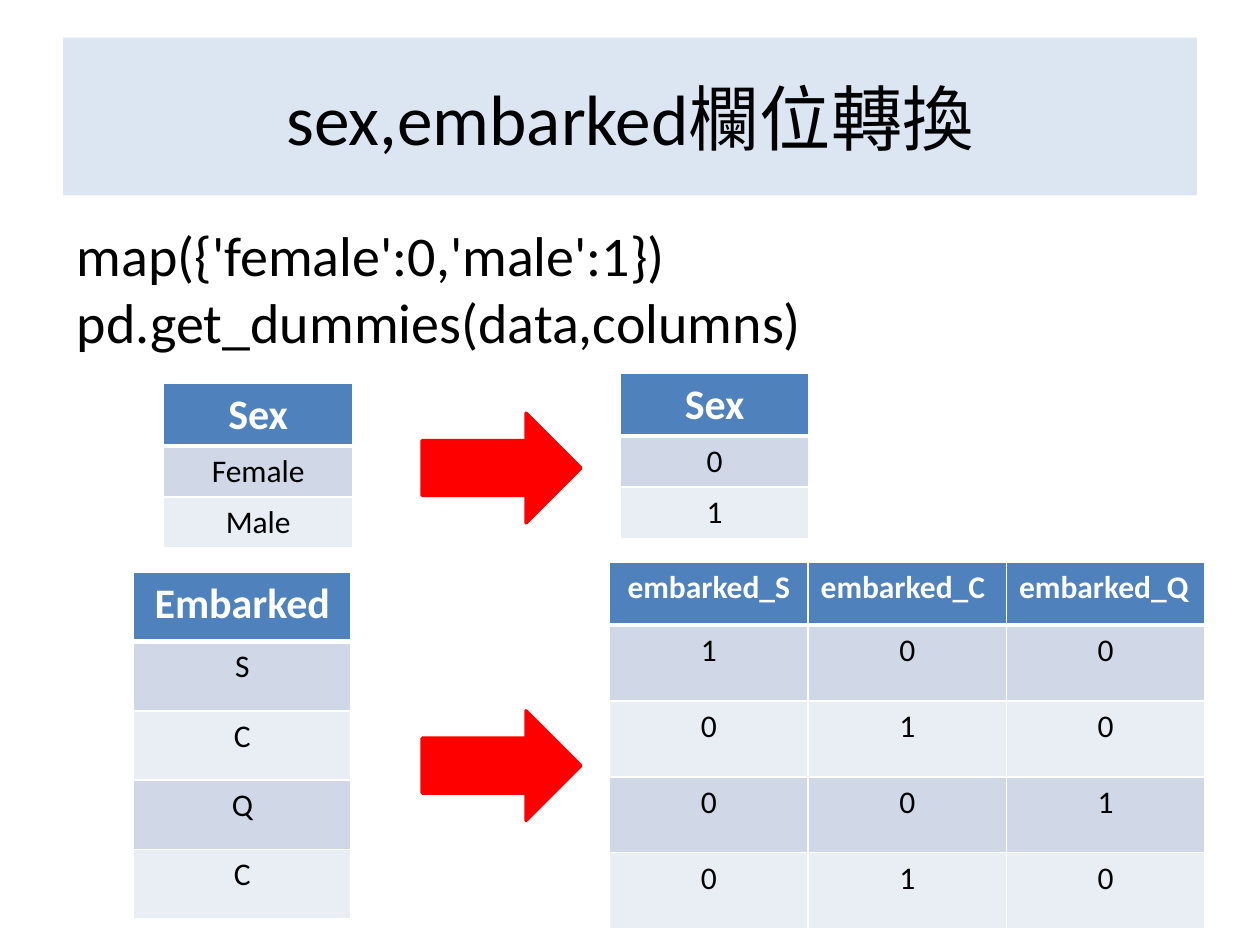
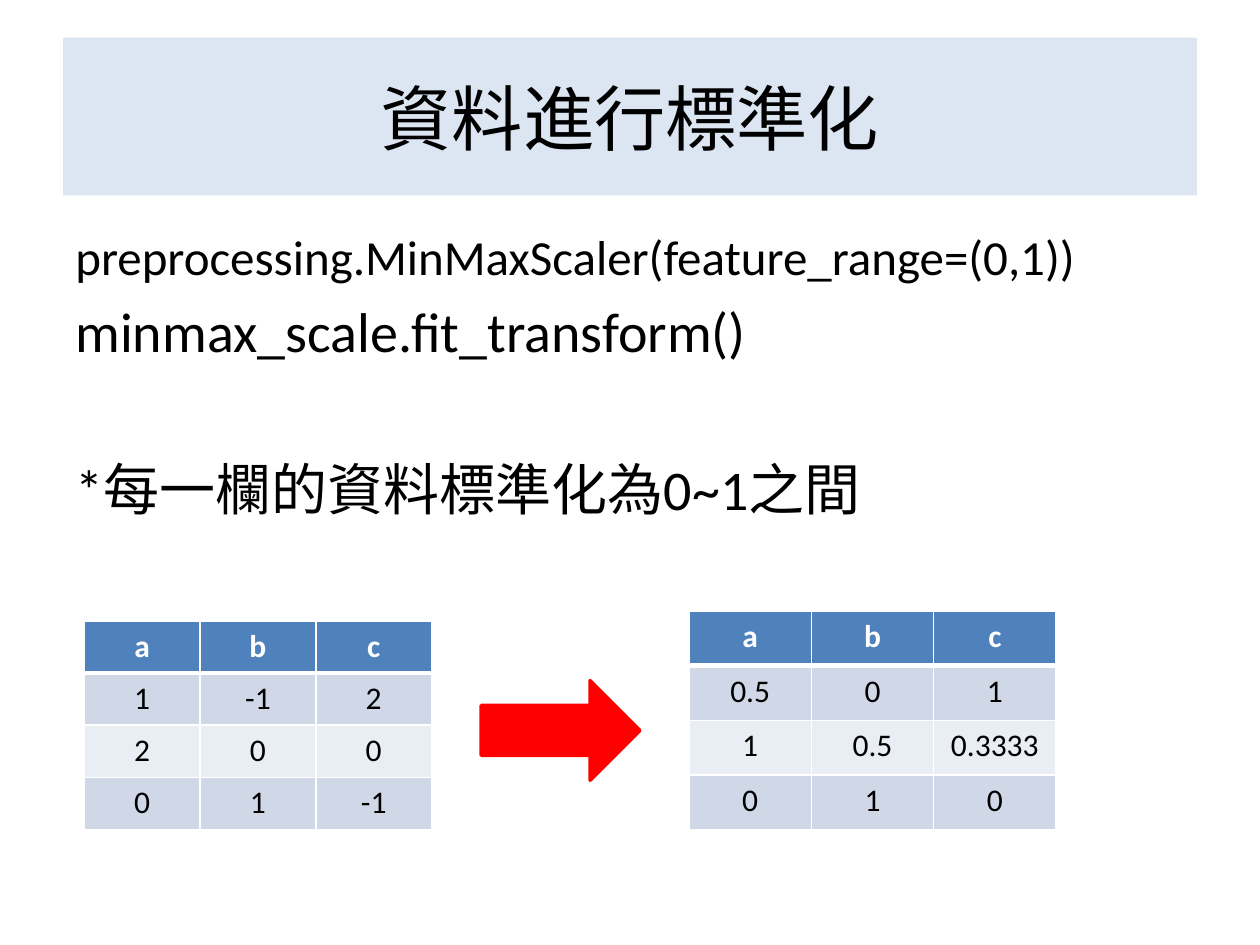
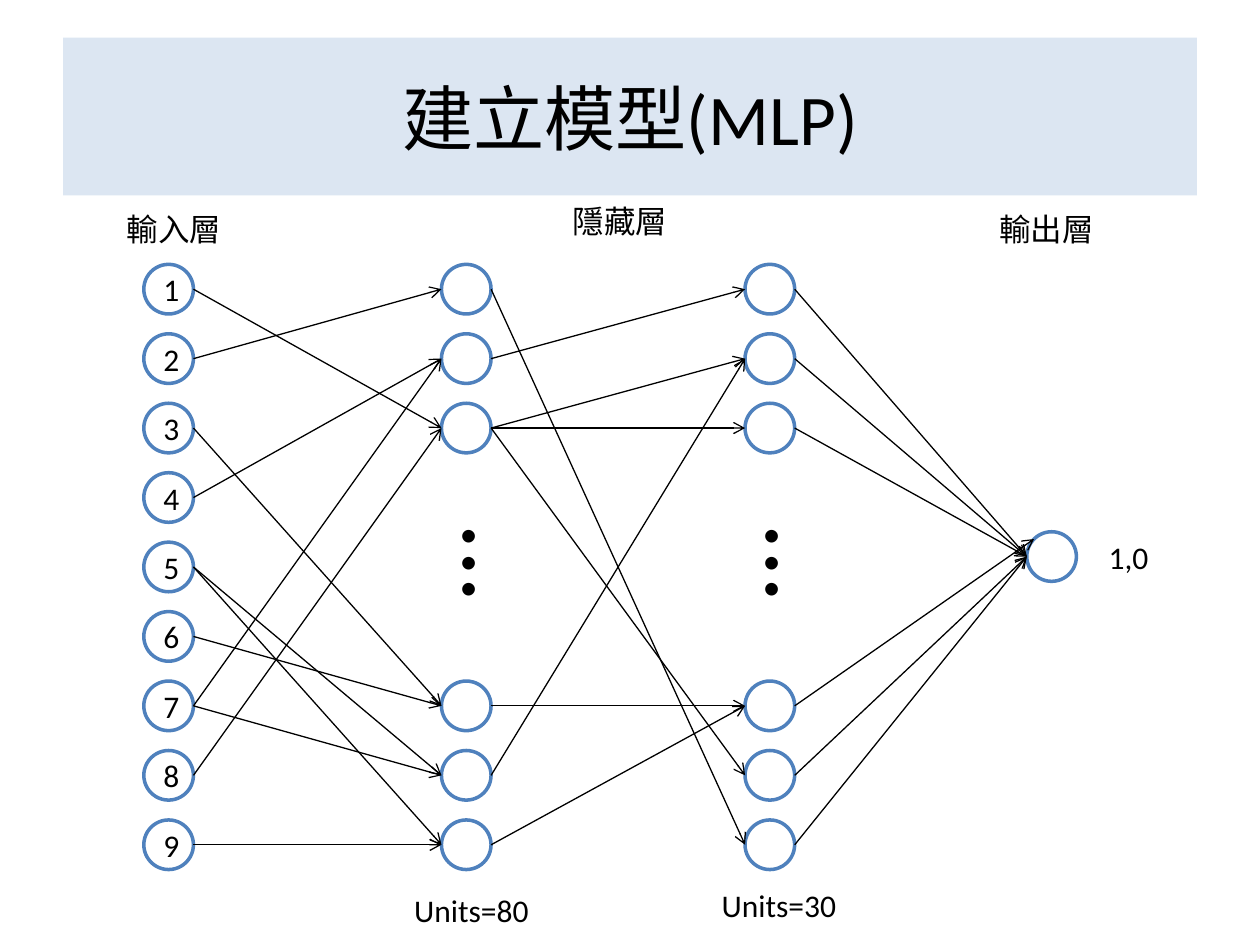
from dataclasses import dataclass
from math import sqrt

from lxml import etree
from pptx import Presentation
from pptx import util as u
from pptx.dml import color
from pptx.enum import shapes, text
from pptx.oxml import ns

CENTER = text.PP_ALIGN.CENTER
LEFT = text.PP_ALIGN.LEFT


@dataclass(frozen=True)
class Theme:
    font: str = "Calibri"
    ink: str = "000000"
    paper: str = "FFFFFF"
    band: str = "DCE6F2"
    accent: str = "4F81BD"
    stripes: tuple = ("D0D8E8", "E9EDF4")
    signal: str = "FF0000"
    title: float = 40.7
    code: int = 32
    long_code: int = 28
    heading: int = 24
    label: int = 18
    dots: int = 60
    outline: int = 2
    link: float = 0.75
    grid: int = 1
    header_rule: int = 3


def rgb(value):
    return color.RGBColor.from_string(value)


def box(*lengths):
    return [u.Cm(length) for length in lengths]


class Deck:
    def __init__(self, theme):
        self.theme = theme
        self.show = Presentation()
        self.show.slide_width, self.show.slide_height = box(25.4, 19.05)
        self.slide = None

    def add_words(self, paragraph, words, size, ink=None, bold=False, align=None):
        paragraph.alignment = align
        run = paragraph.add_run()
        run.text = words
        run.font.name = self.theme.font
        run.font.size = u.Pt(size)
        run.font.bold = bold
        run.font.color.rgb = rgb(ink or self.theme.ink)

    def titled(self, heading):
        self.slide = self.show.slides.add_slide(self.show.slide_layouts[5])
        band = self.slide.shapes.title
        band.left, band.top, band.width, band.height = box(1.27, 0.76, 22.86, 3.18)
        band.fill.solid()
        band.fill.fore_color.rgb = rgb(self.theme.band)
        frame = band.text_frame
        frame.auto_size = text.MSO_AUTO_SIZE.NONE
        frame.vertical_anchor = text.MSO_ANCHOR.MIDDLE
        self.add_words(frame.paragraphs[0], heading, self.theme.title, align=CENTER)

    def lines(self, place, entries):
        holder = self.slide.shapes.add_textbox(*box(*place))
        frame = holder.text_frame
        frame.word_wrap = True
        frame.auto_size = text.MSO_AUTO_SIZE.SHAPE_TO_FIT_TEXT
        for index, (words, size, gap) in enumerate(entries):
            paragraph = frame.add_paragraph() if index else frame.paragraphs[0]
            paragraph.space_before = u.Pt(gap)
            self.add_words(paragraph, words, size)
        return holder

    def label(self, place, words):
        self.lines(place, [(words, self.theme.label, 0)])

    def dots(self, left, top):
        holder = self.lines((left, top, 3.07, 1.88), [("...", self.theme.dots, 0)])
        holder.text_frame.word_wrap = False
        holder.element.txBody.find(ns.qn("a:bodyPr")).set("vert", "eaVert")

    def preset(self, kind, place, fill, outline):
        figure = self.slide.shapes.add_shape(kind, *box(*place))
        figure.shadow.inherit = False
        figure.fill.solid()
        figure.fill.fore_color.rgb = rgb(fill)
        figure.line.color.rgb = rgb(outline)
        figure.line.width = u.Pt(self.theme.outline)
        return figure

    def arrow(self, left, top, height):
        red = self.theme.signal
        self.preset(shapes.MSO_SHAPE.RIGHT_ARROW, (left, top, 3.2, height), red, red)

    def node(self, left, top, size, words=""):
        circle = self.preset(shapes.MSO_SHAPE.OVAL, (left, top, size, size),
                             self.theme.paper, self.theme.accent)
        if words:
            frame = circle.text_frame
            frame.vertical_anchor = text.MSO_ANCHOR.MIDDLE
            self.add_words(frame.paragraphs[0], words, self.theme.label, align=CENTER)

    def link(self, start, end):
        edge = self.slide.shapes.add_connector(
            shapes.MSO_CONNECTOR.STRAIGHT, *box(*start, *end))
        edge.line.color.rgb = rgb(self.theme.ink)
        edge.line.width = u.Pt(self.theme.link)
        properties = edge.element.spPr
        etree.SubElement(properties.find(ns.qn("a:ln")), ns.qn("a:tailEnd"), type="arrow")
        etree.SubElement(properties, ns.qn("a:effectLst"))

    def border(self, properties, side, points):
        rule = etree.SubElement(properties, ns.qn("a:ln" + side), w=str(u.Pt(points)))
        fill = etree.SubElement(rule, ns.qn("a:solidFill"))
        etree.SubElement(fill, ns.qn("a:srgbClr"), val=self.theme.paper)

    def table(self, left, top, width, heights, rows, header_size=None, header_aligns=None):
        theme = self.theme
        columns = len(rows[0])
        holder = self.slide.shapes.add_table(
            len(rows), columns, *box(left, top, width, sum(heights)))
        grid = holder.table
        for column in grid.columns:
            column.width = u.Cm(width / columns)
        for row, height in zip(grid.rows, heights):
            row.height = u.Cm(height)
        for index, (cell, element) in enumerate(
                zip(grid.iter_cells(), holder.element.iter(ns.qn("a:tc")))):
            row, column = divmod(index, columns)
            header = row == 0
            weights = {"L": theme.grid, "R": theme.grid,
                       "T": theme.header_rule if row == 1 else theme.grid,
                       "B": theme.header_rule if header else theme.grid}
            for side, points in weights.items():
                self.border(element.get_or_add_tcPr(), side, points)
            cell.fill.solid()
            cell.fill.fore_color.rgb = rgb(
                theme.accent if header else theme.stripes[(row - 1) % 2])
            self.add_words(
                cell.text_frame.paragraphs[0], rows[row][column],
                header_size if header and header_size else theme.label,
                theme.paper if header else theme.ink, header,
                header_aligns[column] if header and header_aligns else CENTER)


def column_of(words):
    return [[word] for word in words.split()]


def rows_of(*lines):
    return [line.split() for line in lines]


def field_conversion(deck):
    theme = deck.theme
    deck.titled("sex,embarked欄位轉換")
    deck.lines((1.3, 4.32, 22.81, 3), [
        ("map({'female':0,'male':1})", theme.code, 0),
        ("pd.get_dummies(data,columns)", theme.code, 0)])
    deck.table(2.69, 11.53, 4.39, [1.4] * 5, column_of("Embarked S C Q C"), theme.heading)
    deck.table(12.29, 11.33, 12, [1.27] + [1.53] * 4,
               rows_of("embarked_S embarked_C embarked_Q",
                       "1 0 0", "0 1 0", "0 0 1", "0 1 0"),
               header_aligns=[CENTER, LEFT, LEFT])
    sex_heights = [1.25, 1.03, 1.03]
    deck.table(3.3, 7.72, 3.81, sex_heights, column_of("Sex Female Male"), theme.heading)
    deck.table(12.5, 7.52, 3.81, sex_heights, column_of("Sex 0 1"), theme.heading)
    for top in (8.33, 14.33):
        deck.arrow(8.51, top, 2.21)


def scaling(deck):
    theme = deck.theme
    deck.titled("資料進行標準化")
    deck.lines((1.27, 4.45, 22.86, 12.57), [
        ("preprocessing.MinMaxScaler(feature_range=(0,1))", theme.long_code, 5.6),
        ("minmax_scale.fit_transform()", theme.code, 6.4),
        ("*每一欄的資料標準化為0~1之間", theme.code, 51.8)])
    deck.table(1.7, 12.52, 7, [1.05] * 4, rows_of("a b c", "1 -1 2", "2 0 0", "0 1 -1"))
    deck.arrow(9.7, 13.72, 2.01)
    deck.table(13.89, 12.32, 7.4, [1.1] * 4,
               rows_of("a b c", "0.5 0 1", "1 0.5 0.3333", "0 1 0"))


def network(deck):
    size, pitch, first = 1, 1.4, 5.33
    input_x, hidden_x, second_x, output_x = 2.9, 8.9, 15.02, 20.7
    output_top = 10.72
    hidden_rows = (0, 1, 2, 6, 7, 8)

    def top_of(row):
        return first + pitch * row

    def entry(left, row):
        return left, top_of(row) + size / 2

    def leaving(left, row):
        return left + size, top_of(row) + size / 2

    deck.titled("建立模型(MLP)")
    for row in range(9):
        deck.node(input_x, top_of(row), size, str(row + 1))
    for left in (hidden_x, second_x):
        for row in hidden_rows:
            deck.node(left, top_of(row), size)
        deck.dots(left - 0.39, 10.31)
    deck.node(output_x, output_top, size)

    for place, words in [
            ((8.1, 17.83, 4.19, 1.02), "Units=80"),
            ((14.3, 17.73, 4.19, 1.02), "Units=30"),
            ((2.31, 4.11, 3, 1.02), "輸入層"),
            ((11.3, 3.94, 2.79, 1.02), "隱藏層"),
            ((19.89, 4.11, 3.2, 1.02), "輸出層"),
            ((22.1, 10.72, 2.01, 1.02), "1,0")]:
        deck.label(place, words)

    into_hidden = [(0, 2), (1, 0), (2, 6), (3, 1), (4, 7), (4, 8),
                   (5, 6), (6, 1), (6, 7), (7, 2), (8, 8)]
    into_second = [(0, 8), (1, 0), (2, 1), (2, 2), (2, 7), (6, 6), (7, 1), (8, 6)]
    for left, right, pairs in ((input_x, hidden_x, into_hidden),
                               (hidden_x, second_x, into_second)):
        for source, target in pairs:
            deck.link(leaving(left, source), entry(right, target))

    corner = size / 2 * (1 - 1 / sqrt(2))
    output_side = (output_x, output_top + size / 2)
    output_corner = (output_x + corner, output_top + corner)
    for row in hidden_rows:
        deck.link(leaving(second_x, row), output_corner if row == 6 else output_side)


deck = Deck(Theme())
for build in (field_conversion, scaling, network):
    build(deck)
deck.show.save("out.pptx")
